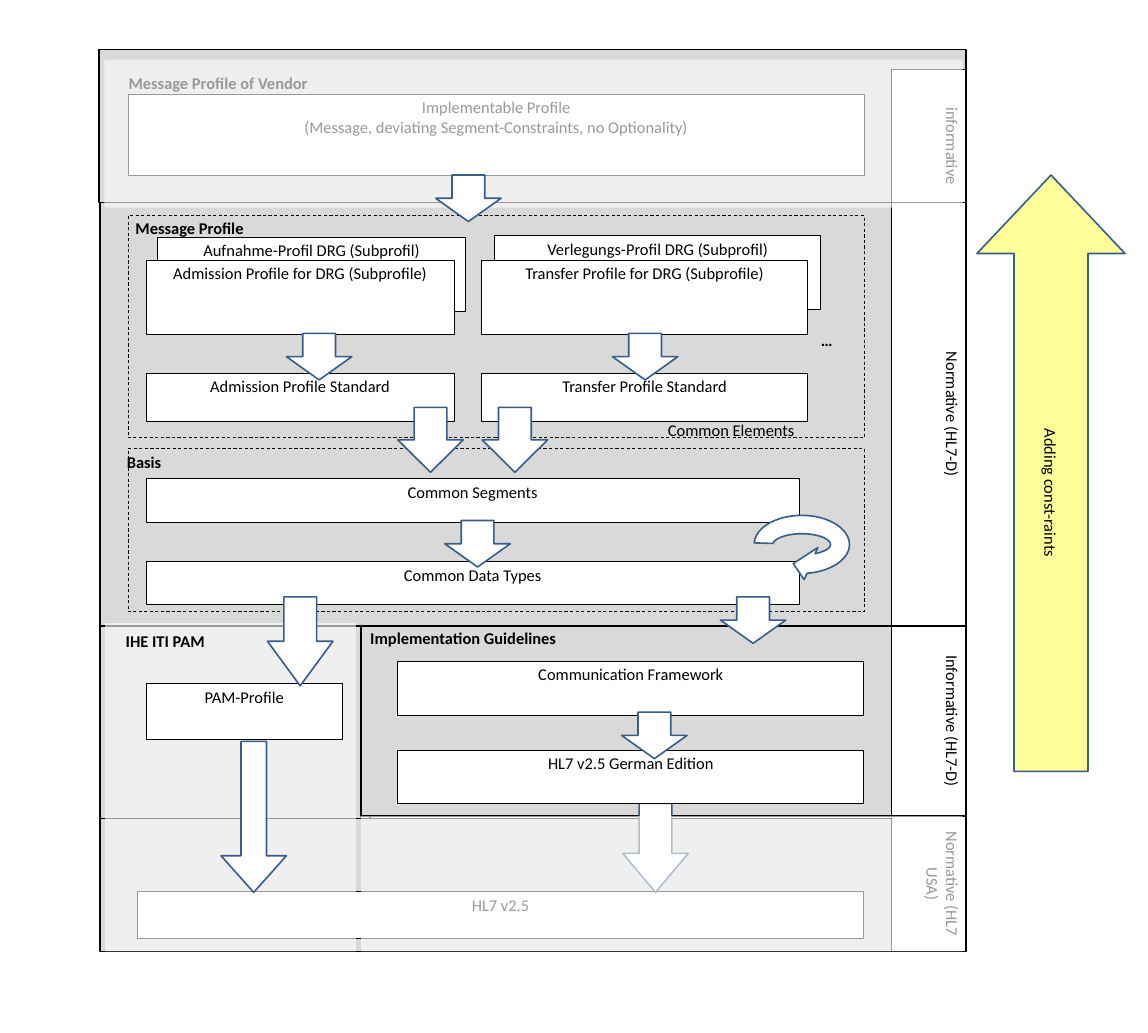
import lxml.etree
import pptx
import pptx.dml.color
import pptx.enum.dml
import pptx.enum.shapes
import pptx.enum.text
import pptx.oxml.ns
import pptx.util

Inches = pptx.util.Inches
SHAPES = pptx.enum.shapes.MSO_SHAPE
ALIGN = pptx.enum.text.PP_ALIGN
ANCHOR = pptx.enum.text.MSO_ANCHOR

deck = pptx.Presentation()
deck.slide_width = Inches(20)
deck.slide_height = Inches(18)
slide = deck.slides.add_slide(deck.slide_layouts[6])


def paint(shape, fill, line, width):
    shape.shadow.inherit = False
    for part, color in ((shape.fill, fill), (shape.line.fill, line)):
        if color:
            part.solid()
            part.fore_color.rgb = pptx.dml.color.RGBColor.from_string(color)
        else:
            part.background()
    if line:
        shape.line.width = pptx.util.Pt(width)


def add_block(left, top, width, height, text="", fill="FFFFFF", line="000000", weight=1,
              kind=SHAPES.RECTANGLE, turned=False, bold=False, align=ALIGN.CENTER,
              anchor=ANCHOR.TOP, label=False):
    if turned:
        left, top = left + (width - height) / 2, top + (height - width) / 2
        width, height = height, width
    bounds = [Inches(length) for length in (left, top, width, height)]
    if label:
        block = slide.shapes.add_textbox(*bounds)
    else:
        block = slide.shapes.add_shape(kind, *bounds)
        paint(block, fill, line, weight)
    block.rotation = 90 if turned else 0
    if text:
        frame = block.text_frame
        frame.word_wrap = True
        frame.vertical_anchor = anchor
        frame.margin_left = frame.margin_right = Inches(0.13)
        frame.margin_top = frame.margin_bottom = Inches(0.06)
        frame.text = text
        for paragraph in frame.paragraphs:
            paragraph.alignment = align
            paragraph.font.name = "Calibri"
            paragraph.font.size = pptx.util.Pt(20.6)
            paragraph.font.bold = bold
            paragraph.font.color.rgb = pptx.dml.color.RGBColor.from_string("000000")
    return block


arrow_style = dict(line="385D8A", weight=2, kind=SHAPES.RIGHT_ARROW, turned=True)

for panel in (
    (1.74, 10.77, 4.71, 3.49),
    (6.29, 10.77, 10.55, 3.45),
    (1.74, 3.53, 15.1, 7.38),
    (1.74, 14.26, 15.1, 2.32),
    (1.73, 0.86, 15.1, 2.67),
):
    add_block(*panel, fill="D9D9D9", weight=2)

add_block(2.11, 1.21, 5.44, 0.7, "Message Profile of Vendor",
          bold=True, align=ALIGN.LEFT, label=True)
add_block(2.23, 1.64, 12.83, 1.41,
          "Implementable Profile\n(Message, deviating Segment-Constraints, no Optionality)")
add_block(2.39, 15.54, 12.66, 0.81, "HL7 v2.5")

for top, height, status in (
    (1.21, 2.67, "informative"),
    (3.53, 7.38, "Normative (HL7-D)"),
    (10.91, 3.31, "Informative (HL7-D)"),
    (14.22, 2.36, "Normative (HL7 USA)"),
):
    add_block(15.53, top, 1.3, height, status, weight=2, turned=True)

base_arrow = add_block(10.85, 14, 1.14, 1.55, **arrow_style)
base_arrow.adjustments[1] = 0.595

for veil_bounds in (
    (1.82, 1.04, 14.95, 2.58),
    (1.83, 10.86, 4.37, 5.72),
    (6.29, 14.22, 10.48, 2.36),
):
    veil = add_block(*veil_bounds, line=None)
    veil_color = veil._element.spPr.find(".//" + pptx.oxml.ns.qn("a:srgbClr"))
    lxml.etree.SubElement(veil_color, pptx.oxml.ns.qn("a:alpha"), val="60000")

for top, height in ((3.76, 3.87), (7.82, 2.84)):
    group_frame = add_block(2.23, top, 12.83, height, fill=None)
    group_frame.line.dash_style = pptx.enum.dml.MSO_LINE.DASH

for left, top, width, height, text in (
    (2.55, 8.34, 11.37, 0.77, "Common Segments"),
    (2.55, 9.78, 11.37, 0.76, "Common Data Types"),
    (2.55, 6.5, 5.36, 0.85, "Admission Profile Standard"),
    (8.39, 6.5, 5.68, 0.85, "Transfer Profile Standard"),
    (6.93, 11.52, 8.12, 0.95, "Communication Framework"),
    (6.93, 13.07, 8.12, 0.93, "HL7 v2.5 German Edition"),
    (2.75, 4.13, 5.36, 1.3, "Aufnahme-Profil DRG (Subprofil)"),
    (2.55, 4.53, 5.36, 1.3, "Admission Profile for DRG (Subprofile)"),
    (8.62, 4.1, 5.68, 1.3, "Verlegungs-Profil DRG (Subprofil)"),
    (8.39, 4.53, 5.68, 1.3, "Transfer Profile for DRG (Subprofile)"),
    (2.55, 11.91, 3.41, 0.97, "PAM-Profile"),
):
    add_block(left, top, width, height, text)

for left, top, width, height, heading in (
    (2.23, 3.74, 4.23, 0.73, "Message Profile"),
    (6.32, 10.88, 3.8, 0.48, "Implementation Guidelines"),
    (14.17, 5.69, 0.6, 0.48, "…"),
    (2.06, 10.93, 1.9, 0.48, "IHE ITI PAM"),
    (2.08, 7.82, 1.1, 0.48, "Basis"),
):
    add_block(left, top, width, height, heading, bold=True, align=ALIGN.LEFT, label=True)
add_block(10.51, 7.26, 4.46, 0.81, "Common Elements", label=True)

for center, top, length, shaft, head in (
    (8.16, 3.05, 0.81, 0.5, 0.5),
    (5.56, 5.81, 0.81, 0.5, 0.5),
    (11.24, 5.81, 0.81, 0.5, 0.5),
    (7.5, 7.1, 1.13, 0.5, 0.5),
    (8.97, 7.1, 1.13, 0.5, 0.5),
    (8.32, 9.07, 0.81, 0.5, 0.5),
    (13.12, 10.4, 0.81, 0.5, 0.5),
    (11.4, 12.41, 0.81, 0.5, 0.5),
    (5.23, 10.4, 1.55, 0.5, 0.68),
    (4.42, 12.92, 2.63, 0.39, 0.56),
):
    step_arrow = add_block(center - 0.57, top, 1.14, length, **arrow_style)
    step_arrow.adjustments[0] = shaft
    step_arrow.adjustments[1] = head

constraints = add_block(17.02, 3.05, 2.58, 10.39, "Adding const-raints", fill="FFFF99",
                        line="385D8A", weight=2, kind=SHAPES.LEFT_ARROW, turned=True,
                        anchor=ANCHOR.MIDDLE)
constraints.adjustments[1] = 0.53

loop_points = [(13.14, 9.46)]
for segment in (
    ((13.16, 9.19), (13.53, 8.98), (13.97, 8.98)),
    ((14.43, 8.98), (14.8, 9.21), (14.8, 9.49)),
    ((14.8, 9.74), (14.48, 9.96), (14.06, 9.99)),
    ((14.01, 10.1),),
    ((13.82, 9.82),),
    ((14.25, 9.54),),
    ((14.2, 9.65),),
    ((14.37, 9.61), (14.47, 9.55), (14.47, 9.49)),
    ((14.47, 9.39), (14.25, 9.3), (13.97, 9.3)),
    ((13.71, 9.3), (13.49, 9.38), (13.47, 9.47)),
):
    if len(segment) == 1:
        loop_points += segment
        continue
    curve = (loop_points[-1],) + segment
    for step in range(1, 13):
        t = step / 12
        weights = ((1 - t) ** 3, 3 * t * (1 - t) ** 2, 3 * t * t * (1 - t), t ** 3)
        loop_points.append(tuple(
            sum(weight * point[axis] for weight, point in zip(weights, curve))
            for axis in (0, 1)))

outline = [(Inches(x), Inches(y)) for x, y in loop_points]
loop_builder = slide.shapes.build_freeform(*outline[0], scale=1.0)
loop_builder.add_line_segments(outline[1:], close=True)
paint(loop_builder.convert_to_shape(), "FFFFFF", "385D8A", 2)

deck.save("out.pptx")
